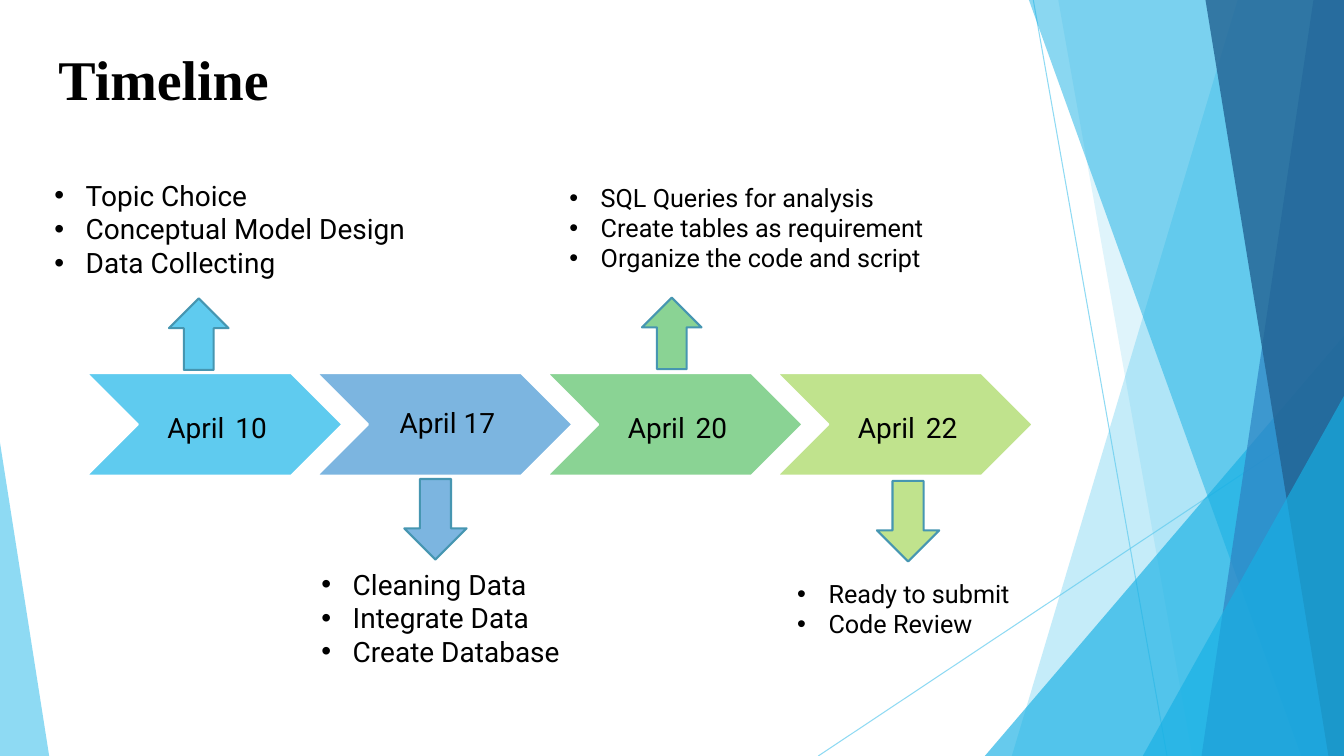
from lxml import etree
from pptx import Presentation
from pptx import util as u
from pptx.dml.color import RGBColor
from pptx.enum import shapes, text
from pptx.oxml import ns

COLORS = {
    "sky": "5FCBEF", "cyan": "17B0E4", "blue": "2E83C3", "navy": "226292",
    "steel": "7CB5E0", "green": "8AD394", "lime": "C0E38D",
    "outline": "4696B1", "white": "FFFFFF", "black": "000000",
}
BODY_FONT = "Roboto"
SLIDE_W, SLIDE_H = 33.87, 19.05
CHEVRON_LEFT, CHEVRON_TOP, CHEVRON_STEP = 2.18, 9.4, 5.8
CHEVRON_W, CHEVRON_H = 6.45, 2.59
LABEL_INSET, LABEL_W = 1.29, 3.86

# date, colour, arrow direction, arrow position, note box, note size, note lines
STAGES = [
    (["April", " ", "10"], "sky", "up", (4.11, 7.67), (1.12, 4.37, 9.86, 2.82), 20,
     ["Topic Choice", "Conceptual Model Design", "Data Collecting"]),
    (["April 17"], "steel", "down", (10.19, 12.07), (7.85, 14.17, 6.78, 2.82), 20,
     ["Cleaning Data", "Integrate Data", "Create Database"]),
    (["April", " ", "20"], "green", "up", (16.03, 7.65), (14.1, 4.47, 9.78, 3.33), 18,
     ["SQL Queries for analysis", "Create tables as requirement",
      "Organize the code and script"]),
    (["April", " ", "22"], "lime", "down", (22.1, 12.12), (19.84, 14.45, 6.12, 1.8), 18,
     ["Ready to submit", "Code Review"]),
]
RAYS = [(26.04, 0, 29.41, SLIDE_H), (SLIDE_W, 10.24, 20.62, SLIDE_H)]
# Bands: top-left x, bottom-left x. Triangles: box, then apex position.
FACETS = [
    ("band", (31.19, 25.5), "sky", 36),
    ("band", (26.67, 30.05), "sky", 20),
    ("triangle", (24.82, 8.46, 9.05, 10.59, 1), "cyan", 66),
    ("band", (25.93, 32.79), "cyan", 50),
    ("band", (33.1, 30.28), "blue", 70),
    ("band", (30.38, 33.48), "navy", 80),
    ("triangle", (28.8, 9.98, 5.07, 9.07, 1), "cyan", 66),
    ("triangle", (0, 11.15, 1.24, 7.9, 0), "sky", 70),
]


def rgb(name):
    return RGBColor.from_string(COLORS[name])


def cm(*lengths):
    return [u.Cm(length) for length in lengths]


def set_opacity(item, percent):
    color = item._element.spPr.xpath(".//a:srgbClr")[0]
    etree.SubElement(color, ns.qn("a:alpha")).set("val", str(percent * 1000))


def paint(shape, fill, line=None):
    shape.shadow.inherit = False
    shape.fill.solid()
    shape.fill.fore_color.rgb = rgb(fill)
    if line:
        shape.line.color.rgb = rgb(line)
        shape.line.width = u.Pt(1.5)
    else:
        shape.line.fill.background()


def add_run(paragraph, words, size, color="black", font=BODY_FONT, bold=False):
    run = paragraph.add_run()
    run.text = words
    run.font.name, run.font.size, run.font.bold = font, u.Pt(size), bold
    run.font.color.rgb = rgb(color)


def add_ray(group, ends):
    ray = group.add_connector(shapes.MSO_CONNECTOR.STRAIGHT, *cm(*ends))
    ray.line.color.rgb = rgb("sky")
    ray.line.width = u.Pt(0.75)
    set_opacity(ray, 70)
    etree.SubElement(ray._element.spPr, ns.qn("a:effectLst"))


def add_band(group, top_x, bottom_x):
    """Add a full-height facet that reaches the right edge of the slide."""
    builder = group.build_freeform(*cm(top_x, 0))
    corners = [(SLIDE_W, 0), (SLIDE_W, SLIDE_H), (bottom_x, SLIDE_H)]
    builder.add_line_segments([cm(*corner) for corner in corners], close=True)
    return builder.convert_to_shape()


def add_triangle(group, left, top, width, height, apex):
    triangle = group.add_shape(shapes.MSO_SHAPE.ISOSCELES_TRIANGLE,
                               *cm(left, top, width, height))
    triangle.adjustments[0] = apex
    return triangle


def add_backdrop(slide):
    group = slide.shapes.add_group_shape().shapes
    for ends in RAYS:
        add_ray(group, ends)
    for kind, geometry, color, opacity in FACETS:
        add_facet = add_band if kind == "band" else add_triangle
        facet = add_facet(group, *geometry)
        paint(facet, color)
        set_opacity(facet, opacity)


def set_title(slide, words):
    title = slide.shapes.title
    title.left, title.top, title.width, title.height = cm(1.22, 0.89, 23.88, 2.36)
    frame = title.text_frame
    frame.auto_size = text.MSO_AUTO_SIZE.NONE
    frame.vertical_anchor = text.MSO_ANCHOR.MIDDLE
    heading = frame.paragraphs[0]
    heading.alignment = text.PP_ALIGN.LEFT
    heading.line_spacing = 0.9
    add_run(heading, words, 40, font="Times New Roman", bold=True)


def add_date(group, left, date, color):
    chevron = group.add_shape(shapes.MSO_SHAPE.CHEVRON,
                              *cm(left, CHEVRON_TOP, CHEVRON_W, CHEVRON_H))
    paint(chevron, color, "white")
    label = group.add_textbox(
        *cm(left + LABEL_INSET, CHEVRON_TOP, LABEL_W, CHEVRON_H))
    frame = label.text_frame
    frame.word_wrap = True
    frame.vertical_anchor = text.MSO_ANCHOR.MIDDLE
    frame.margin_left = u.Cm(0.23)
    frame.margin_top = frame.margin_right = frame.margin_bottom = u.Cm(0.08)
    line = frame.paragraphs[0]
    line.alignment = text.PP_ALIGN.CENTER
    line.line_spacing = 0.9
    for part in date:
        if part == " ":
            add_run(line, part, 31, "white")
        else:
            add_run(line, part, 20)


def add_arrow(slide, direction, position, color):
    if direction == "up":
        kind, size, turn = shapes.MSO_SHAPE.RIGHT_ARROW, (1.8, 1.5), 270
    else:
        kind, size, turn = shapes.MSO_SHAPE.DOWN_ARROW, (1.57, 2.03), 0
    arrow = slide.shapes.add_shape(kind, *cm(*position, *size))
    arrow.rotation = turn
    paint(arrow, color, "outline")


def add_bullet(paragraph):
    props = paragraph._p.get_or_add_pPr()
    props.set("marL", str(u.Cm(0.79)))
    props.set("indent", str(-u.Cm(0.79)))
    etree.SubElement(props, ns.qn("a:buFont")).set("typeface", "Arial")
    etree.SubElement(props, ns.qn("a:buChar")).set("char", "•")


def add_notes_box(slide, box, size, lines, wrap):
    frame = slide.shapes.add_textbox(*cm(*box)).text_frame
    frame.word_wrap = wrap
    frame.auto_size = text.MSO_AUTO_SIZE.SHAPE_TO_FIT_TEXT
    for index, words in enumerate(lines):
        item = frame.add_paragraph() if index else frame.paragraphs[0]
        add_bullet(item)
        add_run(item, words, size)


def main():
    deck = Presentation()
    deck.slide_width, deck.slide_height = cm(SLIDE_W, SLIDE_H)
    slide = deck.slides.add_slide(deck.slide_layouts[5])
    add_backdrop(slide)
    set_title(slide, "Timeline")
    dates = slide.shapes.add_group_shape().shapes
    for index, stage in enumerate(STAGES):
        date, color, direction, position, box, size, lines = stage
        add_date(dates, CHEVRON_LEFT + index * CHEVRON_STEP, date, color)
        add_arrow(slide, direction, position, color)
        add_notes_box(slide, box, size, lines, wrap=index == 0)
    deck.save("out.pptx")


if __name__ == "__main__":
    main()
